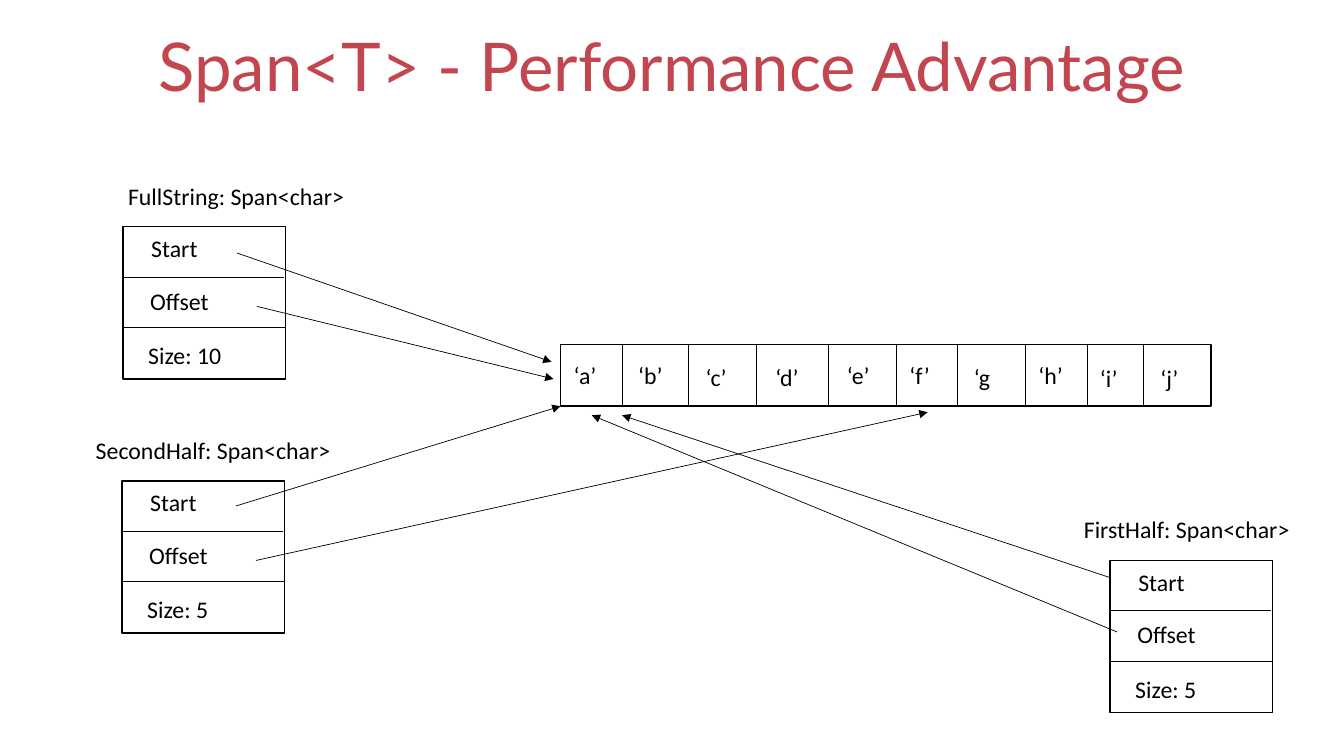
from pptx import Presentation
from pptx.dml.color import RGBColor
from pptx.enum.shapes import MSO_CONNECTOR, MSO_SHAPE
from pptx.enum.text import MSO_ANCHOR, PP_ALIGN
from pptx.oxml.ns import qn
from pptx.util import Inches, Pt
from lxml import etree

BLACK = RGBColor(0x00, 0x00, 0x00)
RED = RGBColor(0xC2, 0x46, 0x4F)
LINE = MSO_CONNECTOR.STRAIGHT
RECT = MSO_SHAPE.RECTANGLE
MIDDLE = MSO_ANCHOR.MIDDLE
CENTER = PP_ALIGN.CENTER

TITLE = "Span<T> - Performance Advantage"

# Array cells: text, text left, text top
CELLS = [
    ("‘a’", 5.64, 3.53), ("‘b’", 6.28, 3.53), ("‘c’", 6.95, 3.55),
    ("‘d’", 7.64, 3.55), ("‘e’", 8.35, 3.53), ("‘f’", 8.97, 3.53),
    ("‘g", 9.61, 3.55), ("‘h’", 10.25, 3.53), ("‘i’", 10.86, 3.56),
    ("‘j’", 11.46, 3.56),
]
ARRAY = (5.56, 3.42, 6.45, 0.61)
WALLS = [6.17, 6.83, 7.5, 8.22, 8.89, 9.5, 10.17, 10.78, 11.34]

# Spans: name, size, box left and top, name left, arrows (from, to)
SPANS = [
    ("FullString", 10, 1.22, 2.25, 1.22,
     [((2.35, 2.51), (5.47, 3.59)), ((2.55, 3.04), (5.49, 3.76))]),
    ("SecondHalf", 5, 1.21, 4.77, 0.9,
     [((2.34, 5.02), (5.56, 4.03)), ((2.54, 5.56), (9.2, 4.09))]),
    ("FirstHalf", 5, 11.01, 5.56, 10.7,
     [((11.01, 5.73), (6.17, 4.12)), ((11.08, 6.27), (5.87, 4.12))]),
]
BOX_W, BOX_H = 1.61, 1.51
ROW = 0.5
NAME_RISE = 0.5

prs = Presentation()
prs.slide_width, prs.slide_height = Inches(13.33), Inches(7.5)
slide = prs.slides.add_slide(prs.slide_layouts[6])
shapes = slide.shapes


def add_text(text, left, top, width, height=0.38, size=17, font="Calibri",
             color=BLACK):
    box = shapes.add_textbox(*map(Inches, (left, top, width, height)))
    frame = box.text_frame
    frame.word_wrap = True
    frame.margin_left = frame.margin_right = Inches(0.05)
    frame.margin_top = frame.margin_bottom = Inches(0.05)
    frame.text = text
    run = frame.paragraphs[0].runs[0]
    run.font.size = Pt(size)
    run.font.name = font
    run.font.color.rgb = color
    return frame


def add_box(left, top, width, height):
    box = shapes.add_shape(RECT, *map(Inches, (left, top, width, height)))
    box.shadow.inherit = False
    box.fill.background()
    box.line.color.rgb = BLACK
    box.line.width = Pt(1)


def add_line(start, end, arrow=False):
    line = shapes.add_connector(LINE, *map(Inches, (*start, *end)))
    line.line.color.rgb = BLACK
    line.line.width = Pt(0.5)
    props = line._element.spPr
    if arrow:
        etree.SubElement(props.find(qn("a:ln")), qn("a:tailEnd"),
                         type="triangle")
    etree.SubElement(props, qn("a:effectLst"))


title = add_text(TITLE, 0, -0.03, 13.33, 1.45, 48, "Lato", RED)
title.vertical_anchor = MIDDLE
title.paragraphs[0].alignment = CENTER
title.paragraphs[0].line_spacing = 0.9

add_box(*ARRAY)
top, bottom = ARRAY[1], ARRAY[1] + ARRAY[3]
for x in WALLS:
    add_line((x, top), (x, bottom))
for text, x, y in CELLS:
    add_text(text, x, y, 0.44)

for name, size, x, y, name_x, arrows in SPANS:
    add_box(x, y, BOX_W, BOX_H)
    for row, shift in ((1, -0.01), (2, 0)):
        wall = y + row * ROW
        add_line((x + shift, wall), (x + shift + BOX_W, wall))
    add_text(f"{name}: Span<char>", name_x, y - NAME_RISE, 2.6)
    fields = [("Start", 0.23, 0.02), ("Offset", 0.22, 0.54),
              (f"Size: {size}", 0.2, 1.08)]
    for text, dx, dy in fields:
        add_text(text, x + dx, y + dy, 1.4)
    for start, end in arrows:
        add_line(start, end, arrow=True)

prs.save("out.pptx")
